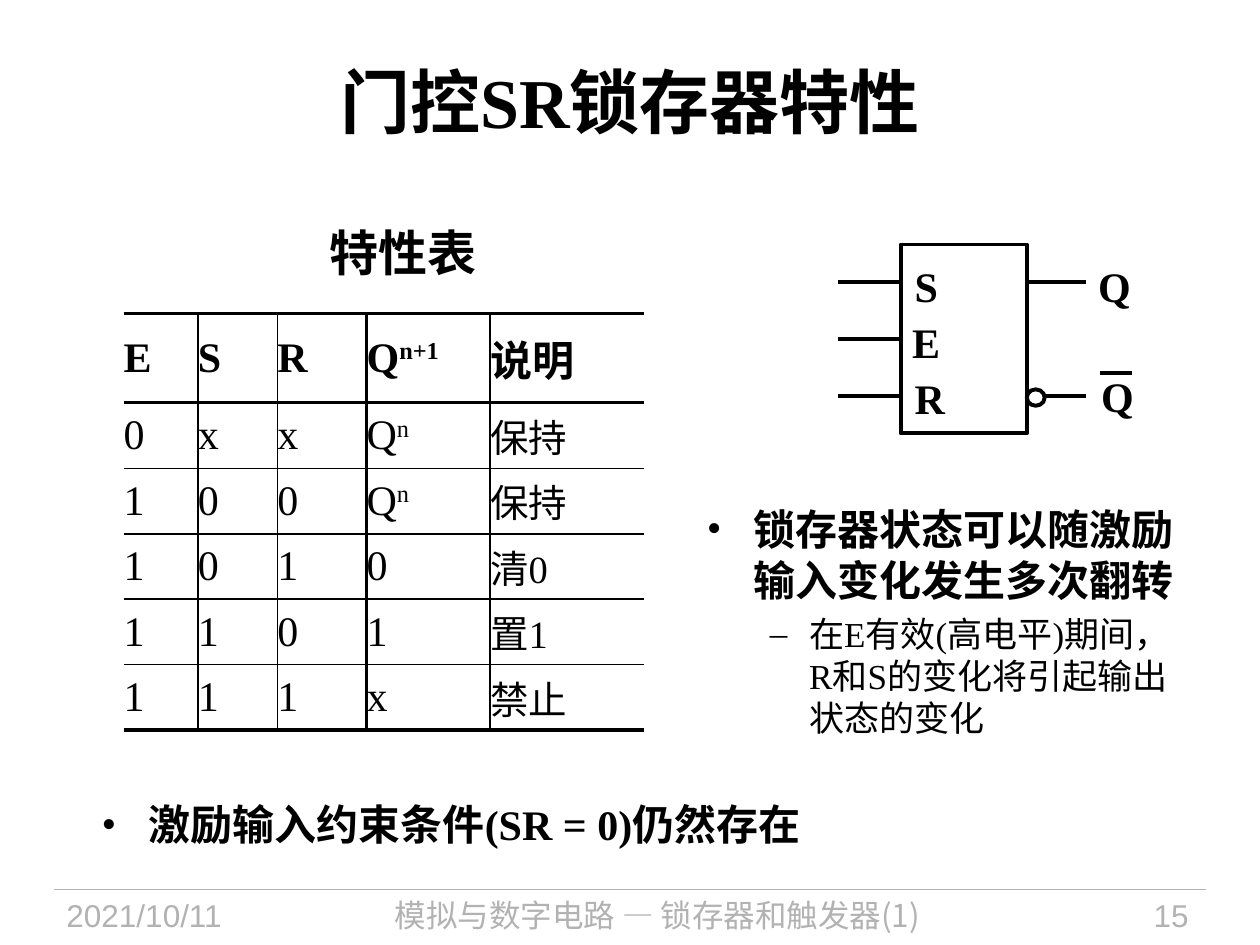
"""Build a slide on the characteristics of a gated SR latch."""
from dataclasses import dataclass

from lxml.etree import SubElement
from pptx import Presentation
from pptx.dml.color import RGBColor
from pptx.enum.shapes import MSO_CONNECTOR, MSO_SHAPE
from pptx.enum.text import MSO_ANCHOR, PP_ALIGN
from pptx.oxml import parse_xml
from pptx.oxml.ns import nsdecls, qn
from pptx.util import Cm, Pt

BLACK = RGBColor(0, 0, 0)
WHITE = RGBColor(255, 255, 255)
GREY = RGBColor(0xB2, 0xB2, 0xB2)
SERIF, SANS, CHINESE = "Times New Roman", "Arial", "Noto Sans CJK SC"


@dataclass
class Style:
    size: float = 24
    bold: bool = True
    font: str = SERIF
    color: RGBColor = BLACK


@dataclass
class Label:
    text: str
    box: tuple[float, float, float, float]
    style: Style
    align: PP_ALIGN = PP_ALIGN.LEFT
    wrap: bool = False


@dataclass
class Bullet:
    text: str
    style: Style
    mark: str
    left: float
    hanging: float
    level: int = 0
    spacing: float = 1.0


@dataclass
class Line:
    start: tuple[float, float]
    end: tuple[float, float]
    color: RGBColor = BLACK
    width: float = 2.25


def set_values(target, values: dict) -> None:
    """Set every named attribute on the target."""
    for name, value in values.items():
        setattr(target, name, value)


def add_text(paragraph, text: str, style: Style, superscript: bool = False) -> None:
    """Append a formatted run to the paragraph."""
    run = paragraph.add_run()
    run.text = text
    set_values(run.font, {"size": Pt(style.size), "bold": style.bold, "name": style.font})
    run.font.color.rgb = style.color
    properties = run.font._element
    SubElement(properties, qn("a:ea")).set("typeface", CHINESE)
    if superscript:
        properties.set("baseline", "30000")


def add_label(slide, label: Label) -> None:
    """Draw a single-paragraph text box."""
    frame = slide.shapes.add_textbox(*map(Cm, label.box)).text_frame
    frame.word_wrap = label.wrap
    paragraph = frame.paragraphs[0]
    paragraph.alignment = label.align
    add_text(paragraph, label.text, label.style)


def add_bullets(slide, box: tuple[float, float, float, float], bullets: list[Bullet]) -> None:
    """Draw a text box holding bulleted paragraphs."""
    frame = slide.shapes.add_textbox(*map(Cm, box)).text_frame
    frame.word_wrap = True
    for index, bullet in enumerate(bullets):
        paragraph = frame.add_paragraph() if index else frame.paragraphs[0]
        set_values(paragraph, {"level": bullet.level, "line_spacing": bullet.spacing,
                               "space_after": Pt(bullet.style.size * 0.2)})
        properties = paragraph._p.get_or_add_pPr()
        properties.set("marL", str(Cm(bullet.left)))
        properties.set("indent", str(-Cm(bullet.hanging)))
        SubElement(properties, qn("a:buFont")).set("typeface", SERIF)
        SubElement(properties, qn("a:buChar")).set("char", bullet.mark)
        add_text(paragraph, bullet.text, bullet.style)


def add_line(slide, line: Line) -> None:
    """Draw a straight line without a shadow."""
    connector = slide.shapes.add_connector(
        MSO_CONNECTOR.STRAIGHT, *map(Cm, line.start + line.end))
    connector.line.color.rgb = line.color
    connector.line.width = Pt(line.width)
    SubElement(connector._element.spPr, qn("a:effectLst"))


def add_outline(slide, kind: MSO_SHAPE, box: tuple[float, float, float, float]) -> None:
    """Draw a white shape with a black outline."""
    shape = slide.shapes.add_shape(kind, *map(Cm, box))
    shape.shadow.inherit = False
    shape.fill.solid()
    shape.fill.fore_color.rgb = WHITE
    shape.line.color.rgb = BLACK
    shape.line.width = Pt(2.25)


def set_borders(cell, widths: dict[str, float]) -> None:
    """Give each side of the cell a line, or none where the width is zero."""
    properties = cell._tc.get_or_add_tcPr()
    for index, (side, width) in enumerate(widths.items()):
        paint = f'<a:solidFill><a:srgbClr val="{BLACK}"/></a:solidFill>' if width else "<a:noFill/>"
        properties.insert(index, parse_xml(
            f'<a:ln{side} {nsdecls("a")} w="{Pt(width)}">{paint}</a:ln{side}>'))


def add_characteristic_table(slide) -> None:
    """Draw the characteristic table of the latch."""
    rows = ["E S R Q^n+1 说明", "0 x x Q^n 保持", "1 0 0 Q^n 保持",
            "1 0 1 0 清0", "1 1 0 1 置1", "1 1 1 x 禁止"]
    column_widths = [1.5, 1.6, 1.8, 2.49, 3.1]
    row_heights = [1.8] + [1.32] * 5
    verticals = [0, 1, 1, 2.25, 1, 0]
    horizontals = [2.25, 2, 1, 1, 1, 1, 2.25]
    table = slide.shapes.add_table(
        len(rows), len(column_widths), Cm(2.49), Cm(6.32),
        Cm(sum(column_widths)), Cm(sum(row_heights))).table
    set_values(table, {"first_row": False, "horz_banding": False})
    for column, width in zip(table.columns, column_widths):
        column.width = Cm(width)
    for y, (row, height) in enumerate(zip(rows, row_heights)):
        table.rows[y].height = Cm(height)
        for x, text in enumerate(row.split()):
            cell = table.cell(y, x)
            set_values(cell, {"vertical_anchor": MSO_ANCHOR.MIDDLE, "margin_left": 0,
                              "margin_right": 0, "margin_top": 0, "margin_bottom": 0})
            cell.fill.background()
            set_borders(cell, {"L": verticals[x], "R": verticals[x + 1],
                               "T": horizontals[y], "B": horizontals[y + 1]})
            style = Style(22 if y and x == 4 else 24, y == 0)
            for part, piece in enumerate(text.split("^")):
                add_text(cell.text_frame.paragraphs[0], piece, style, part > 0)


def add_latch_symbol(slide) -> None:
    """Draw the latch block with its pins and names."""
    add_outline(slide, MSO_SHAPE.RECTANGLE, (18.16, 4.93, 2.54, 3.81))
    pins = [Line((16.89, y), (18.16, y)) for y in (5.69, 6.83, 7.98)]
    pins += [Line((20.7, 5.69), (21.89, 5.69)), Line((20.93, 7.98), (21.89, 7.98)),
             Line((22.17, 7.52), (22.81, 7.52))]
    for pin in pins:
        add_line(slide, pin)
    add_outline(slide, MSO_SHAPE.OVAL, (20.7, 7.85, 0.36, 0.33))
    for text, left, top, width in [("S", 18.19, 5.13, 0.99), ("E", 18.14, 6.25, 1.09),
                                   ("R", 18.19, 7.39, 1.12), ("Q", 21.89, 5.13, 1.17),
                                   ("Q", 21.95, 7.34, 1.17)]:
        add_label(slide, Label(text, (left, top, width, 1.27), Style()))


def main() -> None:
    """Build and save the presentation."""
    presentation = Presentation()
    set_values(presentation, {"slide_width": Cm(25.4), "slide_height": Cm(19.05)})
    slide = presentation.slides.add_slide(presentation.slide_layouts[5])
    title = slide.shapes.title
    set_values(title, {"left": Cm(1.27), "top": Cm(0.43), "width": Cm(22.86), "height": Cm(3.18)})
    title.text_frame.vertical_anchor = MSO_ANCHOR.MIDDLE
    title.text_frame.paragraphs[0].alignment = PP_ALIGN.CENTER
    add_text(title.text_frame.paragraphs[0], "门控SR锁存器特性", Style(40))

    add_line(slide, Line((1.09, 17.93), (24.31, 17.93), GREY, 0.75))
    footer = Style(18, False, SANS, GREY)
    for label in [
        Label("2021/10/11", (1.09, 17.93, 4.78, 1.12), footer, wrap=True),
        Label("模拟与数字电路 — 锁存器和触发器(1)", (6.1, 17.93, 14.3, 1.12),
              Style(18, False, CHINESE, GREY), PP_ALIGN.CENTER, True),
        Label("15", (20.83, 17.93, 3.38, 1.12), footer, PP_ALIGN.RIGHT, True),
        Label("特性表", (6.4, 4.37, 3.48, 1.45), Style(28, True, SANS)),
    ]:
        add_label(slide, label)

    add_latch_symbol(slide)
    add_characteristic_table(slide)
    add_bullets(slide, (1.8, 16.08, 21.89, 1.65), [
        Bullet("激励输入约束条件(SR = 0)仍然存在", Style(), "•", 0.95, 0.95, spacing=0.9)])
    add_bullets(slide, (14, 10.03, 10.21, 5.99), [
        Bullet("锁存器状态可以随激励输入变化发生多次翻转", Style(), "•", 0.95, 0.95),
        Bullet("在E有效(高电平)期间，R和S的变化将引起输出状态的变化",
               Style(20, False), "–", 2.06, 0.79, 1)])
    presentation.save("out.pptx")


main()
